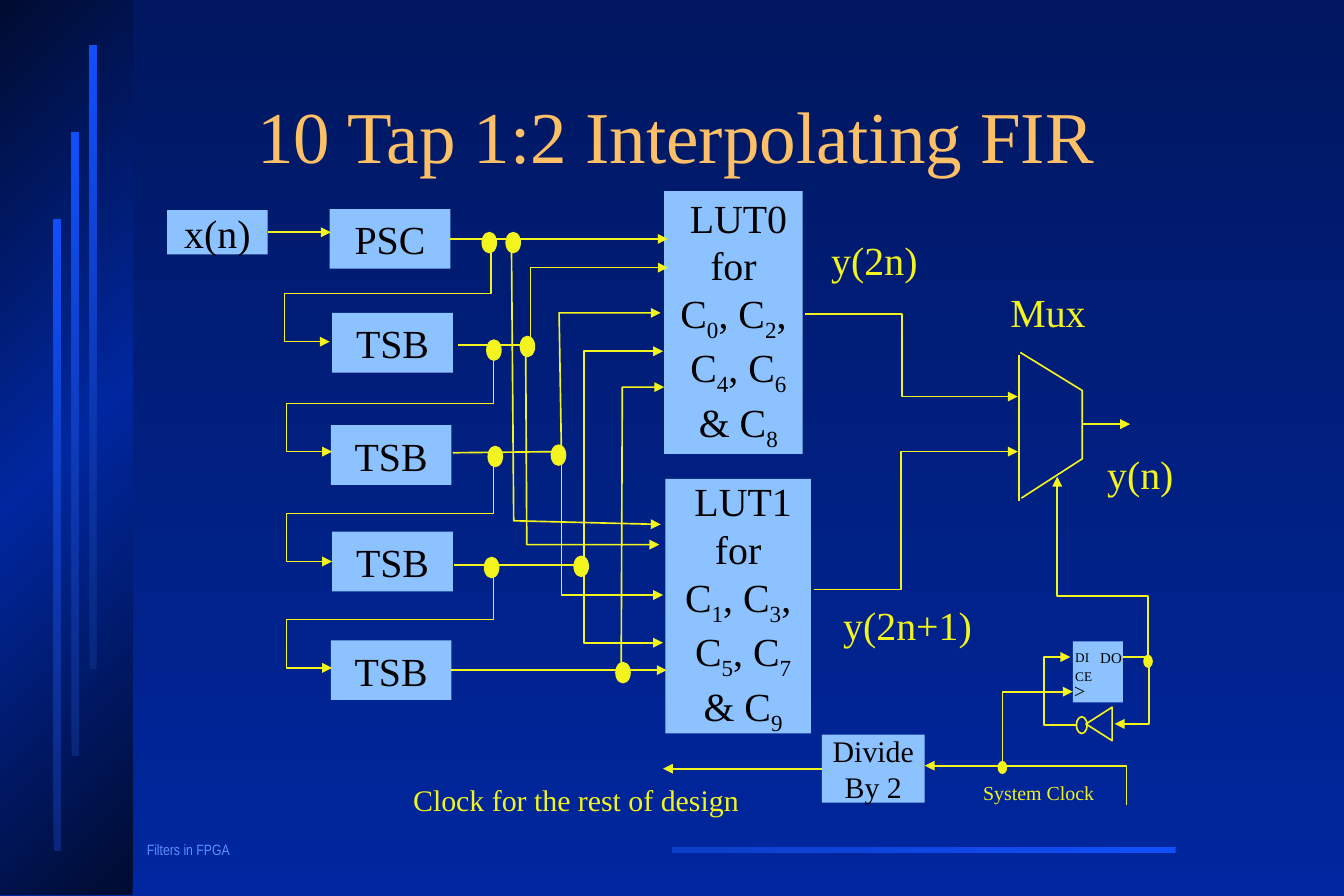
"""Build the slide "10 Tap 1:2 Interpolating FIR"."""
from copy import deepcopy
from dataclasses import dataclass

from lxml.etree import SubElement
from pptx import Presentation
from pptx.dml.color import RGBColor
from pptx.enum.shapes import MSO_CONNECTOR, MSO_SHAPE as Preset
from pptx.enum.text import MSO_ANCHOR as Anchor, MSO_AUTO_SIZE as AutoSize, PP_ALIGN as Align
from pptx.oxml.ns import qn
from pptx.util import Pt


@dataclass(frozen=True)
class Theme:
    serif: str = "Times New Roman"
    narrow: str = "Arial Narrow"
    wire: str = "F3F31D"
    block: str = "8CC2FF"
    ink: str = "000000"
    title: str = "FEC066"
    footer: str = "618FFD"
    sky: tuple = ("00175F", "00279F")
    panel: tuple = ("000B2F", "00279F", "000B2F")
    stripe: tuple = ("08277C", "114FFB")
    rule: tuple = ("114FFB", "0D3EC8")
    title_size: int = 44
    body_size: int = 24
    note_size: int = 18
    small_size: int = 12
    footer_size: int = 9
    pin_size: int = 8
    line_width: int = 1


THEME = Theme()
SLIDE_SIZE = (810, 540)

TITLE = ("10 Tap 1:2 Interpolating FIR", (83.5, 23, 648, 123.8))
FOOTER = ("Filters in FPGA", (81.4, 504, 108, 16.6))
FOOT_RULE = (405.4, 510.5, 303.1, 3.6)
SIDE_PANEL = (0, 0, 79.9, 539.3)
STRIPES = [(32.4, 132.5, 4.3, 380.2), (43.2, 79.9, 4.3, 375.8), (54, 27.4, 4.3, 375.8)]

BLOCKS = {
    "input": (["x(n)"], (100.8, 126.7, 60.5, 26.6), THEME.body_size),
    "psc": (["PSC"], (198.7, 126, 72.7, 36), THEME.body_size),
    "tsb1": (["TSB"], (200.2, 188.6, 72.7, 36), THEME.body_size),
    "tsb2": (["TSB"], (199.4, 256.3, 72.7, 36), THEME.body_size),
    "tsb3": (["TSB"], (200.2, 320.4, 72.7, 36), THEME.body_size),
    "tsb4": (["TSB"], (199.4, 385.9, 72.7, 36), THEME.body_size),
    "lut0": ([" LUT0", "for", "C_0, C_2,", " C_4, C_6", " & C_8"],
             (400.3, 115.2, 83.5, 158.4), THEME.body_size),
    "lut1": ([" LUT1", "for", "C_1, C_3,", " C_5, C_7", " & C_9"],
             (401, 288.7, 87.8, 153.4), THEME.body_size),
    "divider": (["Divide", "By 2"], (495.4, 442.8, 61.9, 41), THEME.note_size),
}
LEFT, RIGHT = 1, 3
JOINED_WIRES = [("input", RIGHT, 199.4), ("psc", RIGHT, 402.5),
                ("tsb4", RIGHT, 401.8), ("divider", LEFT, 399.6)]

LOOP_STARTS = [(296, 144.7), (297.4, 211), (297.4, 277.2), (297.4, 341.3)]
LOOP_DROP, LOOP_HEIGHT, LOOP_WIDTH, LOOP_RETURN = 32.2, 61.2, 124.6, 27.4

TAP_WIRES = [
    [(275.8, 208.1), (319.7, 208.1), (319.7, 161.3), (402.5, 161.3)],
    [(272.9, 272.9), (338.4, 272.2), (337, 188.6), (398.2, 188.6)],
    [(374.4, 404.6), (375.1, 233.3), (400.3, 233.3)],
    [(273.6, 340.6), (352.1, 340.6), (352.1, 211.7), (399.6, 211.7)],
    [(352.1, 341.3), (352.1, 387.4), (399.6, 387.4)],
    [(338.4, 272.9), (338.4, 358.6), (399.6, 358.6)],
    [(316.8, 208.1), (317.5, 328.3), (397.4, 328.3)],
    [(308.2, 143.3), (309.6, 313.9), (398.2, 316.1)],
]
OUTPUT_WIRES = [
    [(485.3, 189.4), (543.6, 189.4), (543.6, 239), (613.4, 239)],
    [(490.3, 355.3), (542.9, 355.3), (542.9, 272.2), (613.4, 272.2)],
    [(652.3, 255.6), (681.1, 255.6)],
]
CLOCK_WIRES = [
    [(679, 485.3), (679, 461.5), (557.3, 461.5)],
    [(676.8, 396), (692.6, 396), (692.6, 436.3), (671.8, 436.3)],
    [(648.7, 437), (629.3, 437), (629.3, 396), (645.1, 396)],
    [(604.1, 462.2), (604.1, 416.9), (646.6, 416.9)],
    [(691.9, 396.7), (691.9, 359.3), (637.2, 359.3), (637.2, 287.3)],
]
MUX_OUTLINE = [[(614.9, 212.4), (652.3, 235.4), (652.3, 276.5), (615.6, 300.2)],
               [(614.2, 213.8), (614.2, 301.7)]]

TAP_DOTS = [(290.2, 139.7), (304.6, 139.7), (313.2, 202.3), (331.9, 267.8), (345.6, 334.8),
            (291.6, 335.5), (293, 204.5), (293.8, 268.6), (370.8, 398.9)]
CLOCK_DOTS = [(689, 394.6), (601.2, 458.6)]
TAP_DOT_SIZE, CLOCK_DOT_SIZE = (9.4, 13), (5.8, 7.9)

LABELS = [
    ("y(2n)", (493.9, 138.6, 72, 36), THEME.body_size),
    ("y(2n+1)", (501.1, 358.6, 102, 36), THEME.body_size),
    ("Mux", (601.9, 169.9, 66, 36), THEME.body_size),
    ("y(n)", (660.2, 267.5, 66, 36), THEME.body_size),
    ("System Clock", (585.4, 467, 96, 21.6), THEME.small_size),
    ("Clock for the rest of design", (241.9, 467.3, 220, 28.8), THEME.note_size),
]
REGISTER = (646.6, 386.6, 30.2, 36.7)
PINS = [("DI", (648, 391, 12, 9.4), THEME.pin_size),
        ("DO", (663.1, 391, 16, 10.8), THEME.footer_size),
        ("CE", (648, 402.5, 16, 9.4), THEME.pin_size),
        (">", (647.3, 409, 10, 14.4), THEME.small_size)]
INVERTER, INVERTER_BUBBLE = (652.3, 428.4, 20.2, 15.8), (648.7, 432, 6.5, 10.1)


def points(lengths):
    return [Pt(length) for length in lengths]


def paint_gradient(fill, element, colors, angle):
    fill.gradient()
    fill.gradient_angle = angle
    stop_list = next(element.iter(qn("a:gsLst")))
    for _ in colors[2:]:
        stop_list.append(deepcopy(stop_list[0]))
    for i, (stop, color) in enumerate(zip(fill.gradient_stops, colors)):
        stop.color.rgb = RGBColor.from_string(color)
        stop.position = i / (len(colors) - 1)


def add_preset(parent, preset, frame, color=None, gradient=None, outline=False):
    shape = parent.add_shape(preset, *points(frame))
    shape.shadow.inherit = False
    if gradient:
        paint_gradient(shape.fill, shape._element, gradient, 135)
    elif color:
        shape.fill.solid()
        shape.fill.fore_color.rgb = RGBColor.from_string(color)
    else:
        shape.fill.background()
    if outline:
        draw_line(shape, arrow=False)
    else:
        shape.line.fill.background()
    return shape


def write(frame, lines, size, color, font=THEME.serif, align=Align.LEFT, spacing=None):
    for i, line in enumerate(lines):
        paragraph = frame.paragraphs[0] if i == 0 else frame.add_paragraph()
        paragraph.alignment = align
        paragraph.line_spacing = spacing
        base, *indexed = line.split("_")
        pieces = [(base, False)]
        for part in indexed:
            pieces += [(part[:1], True), (part[1:], False)]
        for text, subscript in pieces:
            if text:
                run = paragraph.add_run()
                run.text = text
                run.font.name, run.font.size = font, Pt(size)
                run.font.color.rgb = RGBColor.from_string(color)
                if subscript:
                    run._r.get_or_add_rPr().set("baseline", "-25000")


def add_label(parent, text, frame, size, color, inset=True, grow=True, **style):
    label = parent.add_textbox(*points(frame)).text_frame
    label.word_wrap = True
    label.auto_size = AutoSize.SHAPE_TO_FIT_TEXT if grow else AutoSize.NONE
    if not inset:
        label.margin_left = label.margin_right = label.margin_top = label.margin_bottom = 0
    write(label, [text], size, color, **style)
    return label


def draw_line(shape, arrow):
    shape.line.color.rgb = RGBColor.from_string(THEME.wire)
    shape.line.width = Pt(THEME.line_width)
    if arrow:
        SubElement(next(shape._element.iter(qn("a:ln"))), qn("a:tailEnd"), type="triangle")


def add_wire(parent, route, arrow=True):
    route = [points(corner) for corner in route]
    if len(route) == 2:
        wire = parent.add_connector(MSO_CONNECTOR.STRAIGHT, *route[0], *route[1])
        draw_line(wire, arrow)
        SubElement(wire._element.spPr, qn("a:effectLst"))
    else:
        builder = parent.build_freeform(*route[0])
        builder.add_line_segments(route[1:], close=False)
        wire = builder.convert_to_shape()
        wire.shadow.inherit = False
        wire.fill.background()
        draw_line(wire, arrow)
    return wire


def loop_route(x, y):
    left, middle, bottom = x - LOOP_WIDTH, y + LOOP_DROP, y + LOOP_HEIGHT
    return [(x, y), (x, middle), (left, middle), (left, bottom), (left + LOOP_RETURN, bottom)]


def main():
    deck = Presentation()
    deck.slide_width, deck.slide_height = points(SLIDE_SIZE)
    slide = deck.slides.add_slide(deck.slide_layouts[6])
    canvas = slide.shapes
    paint_gradient(slide.background.fill, slide._element, THEME.sky, 270)

    add_label(canvas, *FOOTER, THEME.footer_size, THEME.footer, font=THEME.narrow, spacing=0.9)
    add_preset(canvas, Preset.RECTANGLE, FOOT_RULE, gradient=THEME.rule)
    add_preset(canvas, Preset.RECTANGLE, SIDE_PANEL, gradient=THEME.panel)
    stripes = canvas.add_group_shape().shapes
    for frame in STRIPES:
        add_preset(stripes, Preset.RECTANGLE, frame, gradient=THEME.stripe)
    title = add_label(canvas, *TITLE, THEME.title_size, THEME.title, grow=False,
                      align=Align.CENTER, spacing=0.85)
    title.vertical_anchor = Anchor.MIDDLE

    blocks = {}
    for name, (lines, frame, size) in BLOCKS.items():
        blocks[name] = add_preset(canvas, Preset.RECTANGLE, frame, THEME.block)
        caption = blocks[name].text_frame
        caption.word_wrap, caption.vertical_anchor = False, Anchor.MIDDLE
        write(caption, lines, size, THEME.ink, align=Align.CENTER)

    register = canvas.add_group_shape().shapes
    add_preset(register, Preset.RECTANGLE, REGISTER, THEME.block)
    for text, frame, size in PINS:
        add_label(register, text, frame, size, THEME.ink, inset=False)
    inverter = canvas.add_group_shape().shapes
    add_preset(inverter, Preset.FLOWCHART_EXTRACT, INVERTER, outline=True).rotation = 270
    add_preset(inverter, Preset.FLOWCHART_CONNECTOR, INVERTER_BUBBLE, outline=True)

    for name, side, end in JOINED_WIRES:
        left, top, width, height = BLOCKS[name][1]
        start, level = left + (width if side == RIGHT else 0), top + height / 2
        add_wire(canvas, [(start, level), (end, level)]).begin_connect(blocks[name], side)
    loops = [loop_route(*start) for start in LOOP_STARTS]
    for route in loops + TAP_WIRES + OUTPUT_WIRES + CLOCK_WIRES:
        add_wire(canvas, route)
    for route in MUX_OUTLINE:
        add_wire(canvas, route, arrow=False)
    for dots, size in ((TAP_DOTS, TAP_DOT_SIZE), (CLOCK_DOTS, CLOCK_DOT_SIZE)):
        for corner in dots:
            add_preset(canvas, Preset.FLOWCHART_CONNECTOR, corner + size, THEME.wire)
    for text, frame, size in LABELS:
        add_label(canvas, text, frame, size, THEME.wire)

    deck.save("out.pptx")


if __name__ == "__main__":
    main()
